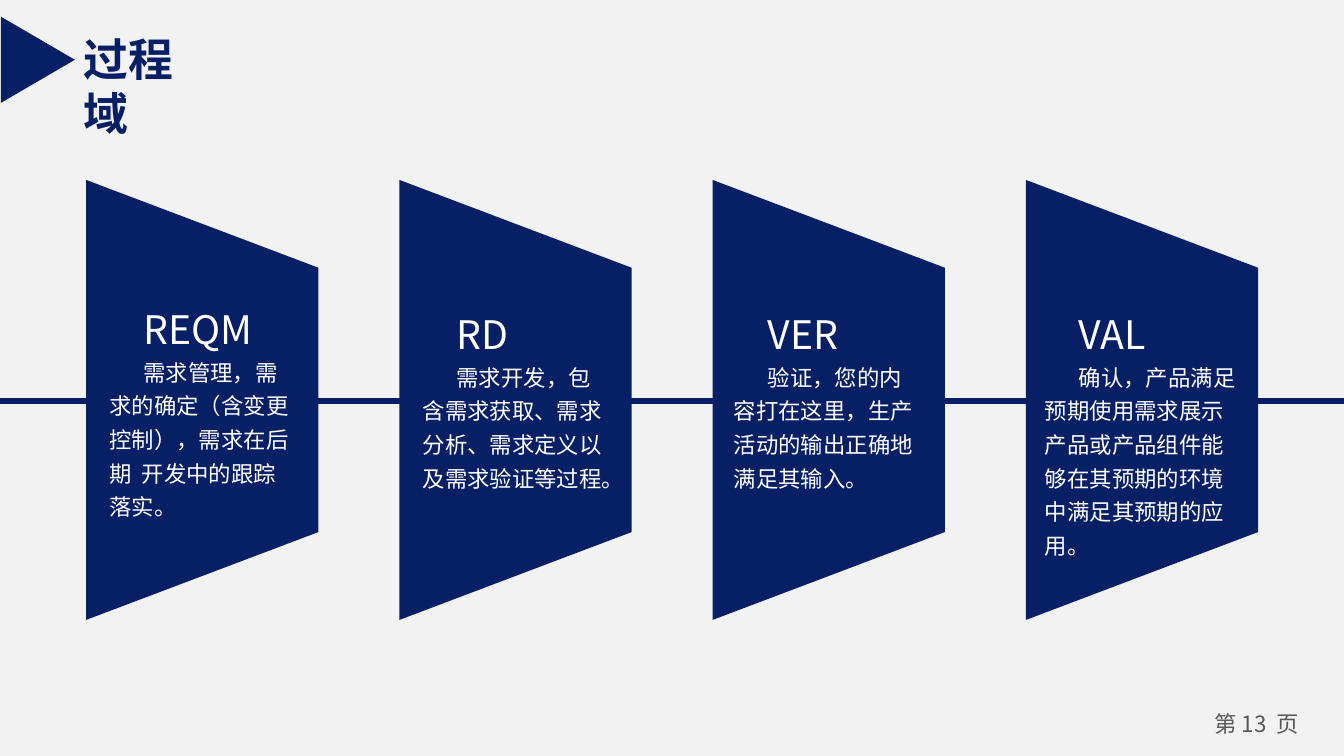
"""Build the process-area slide: four trapezoid cards threaded on a horizontal line."""
from dataclasses import dataclass

import pptx
import pptx.dml.color
import pptx.enum.shapes
import pptx.enum.text
import pptx.oxml.ns
import pptx.util
from lxml import etree

Cm = pptx.util.Cm
Pt = pptx.util.Pt
RGB = pptx.dml.color.RGBColor
Align = pptx.enum.text.PP_ALIGN
qn = pptx.oxml.ns.qn


@dataclass(frozen=True)
class Theme:
    navy: RGB = RGB(0x07, 0x1F, 0x65)
    white: RGB = RGB(0xFF, 0xFF, 0xFF)
    grey: RGB = RGB(0x59, 0x59, 0x59)
    background: RGB = RGB(0xF2, 0xF2, 0xF2)
    title_font: str = "Arial"
    body_font: str = "Noto Sans CJK SC"
    title_size: int = 24
    heading_size: int = 21
    body_size: int = 12


@dataclass(frozen=True)
class Card:
    heading: str
    body: str
    text_width: float
    text_height: float
    text_top: float = 5.51
    heading_spacing: float = 1.25


THEME = Theme()
CARD_LEFT, CARD_TOP, CARD_PITCH = 1.63, 3.4, 5.92
CARD_WIDTH, CARD_HEIGHT, CARD_SLANT = 4.39, 8.31, 1.66
LINE_Y = 7.57
BODY_SPACING = 1.25
FIRST_LINE_INDENT = Cm(0.64)

CARDS = [
    Card("REQM", "需求管理，需求的确定（含变更控制），需求在后期  开发中的跟踪落实。",
         4.01, 4.37, 5.64, 1.0),
    Card("RD", "需求开发，包含需求获取、需求分析、需求定义以及需求验证等过程。", 4.01, 3.94),
    Card("VER", "验证，您的内容打在这里，生产活动的输出正确地满足其输入。", 4.09, 3.94),
    Card("VAL", "确认，产品满足预期使用需求展示产品或产品组件能够在其预期的环境中满足其预期的应用。",
         4.17, 5.23),
]


def style_paragraph(p, text: str, size: int, color: RGB, font: str,
                    bold: bool = False) -> None:
    """Write the text and set its font for Latin and East Asian letters."""
    p.text = text
    p.font.size = Pt(size)
    p.font.bold = bold
    p.font.color.rgb = color
    p.font.name = font
    latin = p.font._element.find(qn("a:latin"))
    ea = etree.Element(qn("a:ea"), typeface=font)
    latin.addnext(ea)


def paint(sp, color: RGB) -> None:
    """Give a shape a flat fill without outline or shadow."""
    sp.fill.solid()
    sp.fill.fore_color.rgb = color
    sp.line.fill.background()
    sp.shadow.inherit = False


def add_title(slide, text: str) -> None:
    """Place and format the title with its arrow marker."""
    sp = slide.shapes.title
    sp.left, sp.top, sp.width, sp.height = Cm(1.32), Cm(0.48), Cm(3), Cm(1.27)
    tf = sp.text_frame
    tf.word_wrap = True
    tf.auto_size = pptx.enum.text.MSO_AUTO_SIZE.NONE
    tf.vertical_anchor = pptx.enum.text.MSO_ANCHOR.TOP
    p = tf.paragraphs[0]
    p.alignment = Align.LEFT
    style_paragraph(p, text, THEME.title_size, THEME.navy, THEME.title_font, True)
    marker = slide.shapes.add_shape(
        pptx.enum.shapes.MSO_SHAPE.ISOSCELES_TRIANGLE,
        Cm(-0.1), Cm(0.43), Cm(1.63), Cm(1.4))
    marker.rotation = 90
    paint(marker, THEME.navy)


def add_axis(slide, width: int) -> None:
    """Draw the line that runs behind the cards."""
    line = slide.shapes.add_connector(
        pptx.enum.shapes.MSO_CONNECTOR.STRAIGHT, 0, Cm(LINE_Y), width, Cm(LINE_Y))
    line.line.color.rgb = THEME.navy
    line.line.width = Pt(3)
    etree.SubElement(line._element.spPr, qn("a:effectLst"))


def add_card(slide, card: Card, left: float) -> None:
    """Draw one trapezoid with its heading and description as a group."""
    shapes = slide.shapes.add_group_shape().shapes
    right, bottom = left + CARD_WIDTH, CARD_TOP + CARD_HEIGHT
    outline = shapes.build_freeform(Cm(left), Cm(bottom))
    outline.add_line_segments([
        (Cm(left), Cm(CARD_TOP)),
        (Cm(right), Cm(CARD_TOP + CARD_SLANT)),
        (Cm(right), Cm(bottom - CARD_SLANT)),
    ])
    paint(outline.convert_to_shape(), THEME.navy)

    text_left = left + (CARD_WIDTH - card.text_width) / 2
    sp = shapes.add_textbox(Cm(text_left), Cm(card.text_top),
                            Cm(card.text_width), Cm(card.text_height))
    tf = sp.text_frame
    tf.word_wrap = True
    heading, body = tf.paragraphs[0], tf.add_paragraph()
    for p, text, size, spacing in (
            (heading, card.heading, THEME.heading_size, card.heading_spacing),
            (body, card.body, THEME.body_size, BODY_SPACING)):
        p.line_spacing = spacing
        style_paragraph(p, text, size, THEME.white, THEME.body_font)
        p._p.get_or_add_pPr().set("indent", str(FIRST_LINE_INDENT))


def add_page_label(slide, text: str) -> None:
    """Write the page label in the bottom right corner."""
    sp = slide.shapes.add_textbox(Cm(22.61), Cm(13.31), Cm(2.29), Cm(0.76))
    tf = sp.text_frame
    tf.margin_left = tf.margin_right = Cm(0.18)
    tf.margin_top = tf.margin_bottom = Cm(0.1)
    p = tf.paragraphs[0]
    p.alignment = Align.CENTER
    tf.word_wrap = True
    style_paragraph(p, text, THEME.body_size, THEME.grey, THEME.body_font)


def main() -> None:
    """Assemble and save the slide."""
    prs = pptx.Presentation()
    prs.slide_width, prs.slide_height = Cm(25.4), Cm(14.28)
    slide = prs.slides.add_slide(prs.slide_layouts.get_by_name("Title Only"))
    slide.background.fill.solid()
    slide.background.fill.fore_color.rgb = THEME.background
    add_page_label(slide, "第 13  页")
    add_axis(slide, prs.slide_width)
    for i, card in enumerate(CARDS):
        add_card(slide, card, CARD_LEFT + i * CARD_PITCH)
    add_title(slide, "过程域")
    prs.save("out.pptx")


main()
